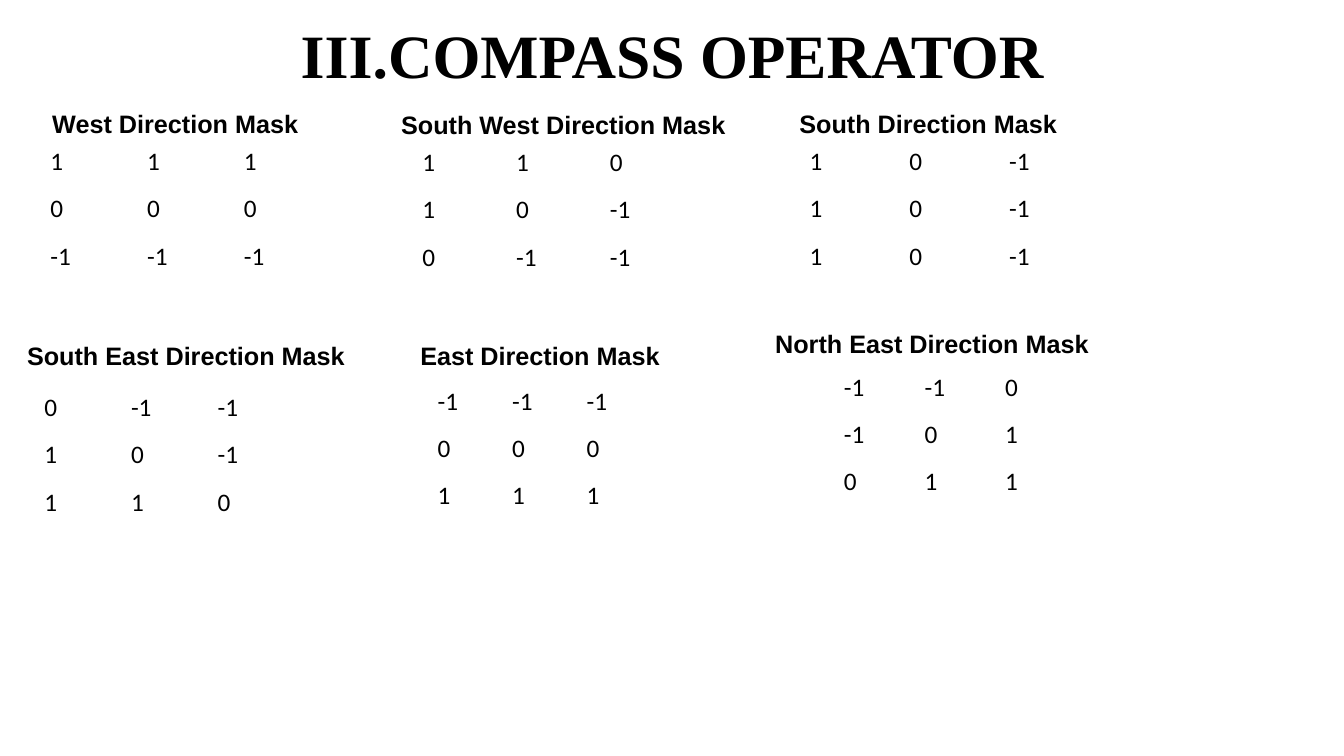
import dataclasses

import pptx
import pptx.dml.color
import pptx.enum.text
import pptx.util

Inches = pptx.util.Inches
ROW = 0.47


@dataclasses.dataclass
class Mask:
    name: str
    left: float
    top: float
    width: float
    grid_left: float
    grid_top: float
    step: float
    rows: list[str]


MASKS = [
    Mask("West Direction Mask", 0.42, 1.02, 2.67, 0.42, 1.37, 0.96,
         ["1 1 1", "0 0 0", "-1 -1 -1"]),
    Mask("South West Direction Mask", 3.88, 1.03, 3.45, 4.11, 1.38, 0.93,
         ["1 1 0", "1 0 -1", "0 -1 -1"]),
    Mask("South Direction Mask", 7.83, 1.02, 3.21, 7.95, 1.37, 0.99,
         ["1 0 -1", "1 0 -1", "1 0 -1"]),
    Mask("South East Direction Mask", 0.17, 3.33, 3.39, 0.36, 3.81, 0.86,
         ["0 -1 -1", "1 0 -1", "1 1 0"]),
    Mask("East Direction Mask", 4.07, 3.33, 2.6, 4.26, 3.75, 0.74,
         ["-1 -1 -1", "0 0 0", "1 1 1"]),
    Mask("North East Direction Mask", 7.59, 3.21, 3.34, 8.29, 3.61, 0.8,
         ["-1 -1 0", "-1 0 1", "0 1 1"]),
]


def color(code: str) -> pptx.dml.color.RGBColor:
    return pptx.dml.color.RGBColor.from_string(code)


def write(frame, text: str, *, font: str = "Arial", size: float = 18,
          bold: bool = False, align: str = "LEFT", space: float = 1.0) -> None:
    frame.word_wrap = True
    para = frame.paragraphs[0]
    para.alignment = getattr(pptx.enum.text.PP_ALIGN, align)
    para.line_spacing = space
    run = para.add_run()
    run.text = text
    run.font.name = font
    run.font.size = pptx.util.Pt(size)
    run.font.bold = bold
    run.font.color.rgb = color("000000")


def draw_grid(slide, mask: Mask) -> None:
    count = len(mask.rows)
    table = slide.shapes.add_table(
        count, count, Inches(mask.grid_left), Inches(mask.grid_top),
        Inches(mask.step * count), Inches(ROW * count)).table
    table.first_row = False
    table.horz_banding = False
    for y, line in enumerate(mask.rows):
        for x, value in enumerate(line.split()):
            cell = table.cell(y, x)
            cell.fill.background()
            cell.vertical_anchor = pptx.enum.text.MSO_ANCHOR.MIDDLE
            cell.margin_left = cell.margin_right = Inches(0.08)
            cell.margin_top = cell.margin_bottom = Inches(0.08)
            write(cell.text_frame, value, font="Calibri")


def draw_mask(slide, mask: Mask) -> None:
    draw_grid(slide, mask)
    box = slide.shapes.add_textbox(
        Inches(mask.left), Inches(mask.top), Inches(mask.width), Inches(0.4))
    box.text_frame.vertical_anchor = pptx.enum.text.MSO_ANCHOR.MIDDLE
    write(box.text_frame, mask.name, bold=True)


def main() -> None:
    deck = pptx.Presentation()
    deck.slide_width, deck.slide_height = Inches(13.33), Inches(7.5)
    slide = deck.slides.add_slide(deck.slide_layouts[5])
    slide.background.fill.solid()
    slide.background.fill.fore_color.rgb = color("FFFFFF")
    title = slide.shapes.title
    title.left, title.top = Inches(0.92), Inches(0.14)
    title.width, title.height = Inches(11.5), Inches(0.88)
    title.text_frame.vertical_anchor = pptx.enum.text.MSO_ANCHOR.MIDDLE
    write(title.text_frame, "III.COMPASS OPERATOR", font="Times New Roman",
          size=44, bold=True, align="CENTER", space=0.9)
    for mask in MASKS:
        draw_mask(slide, mask)
    deck.save("out.pptx")


if __name__ == "__main__":
    main()
